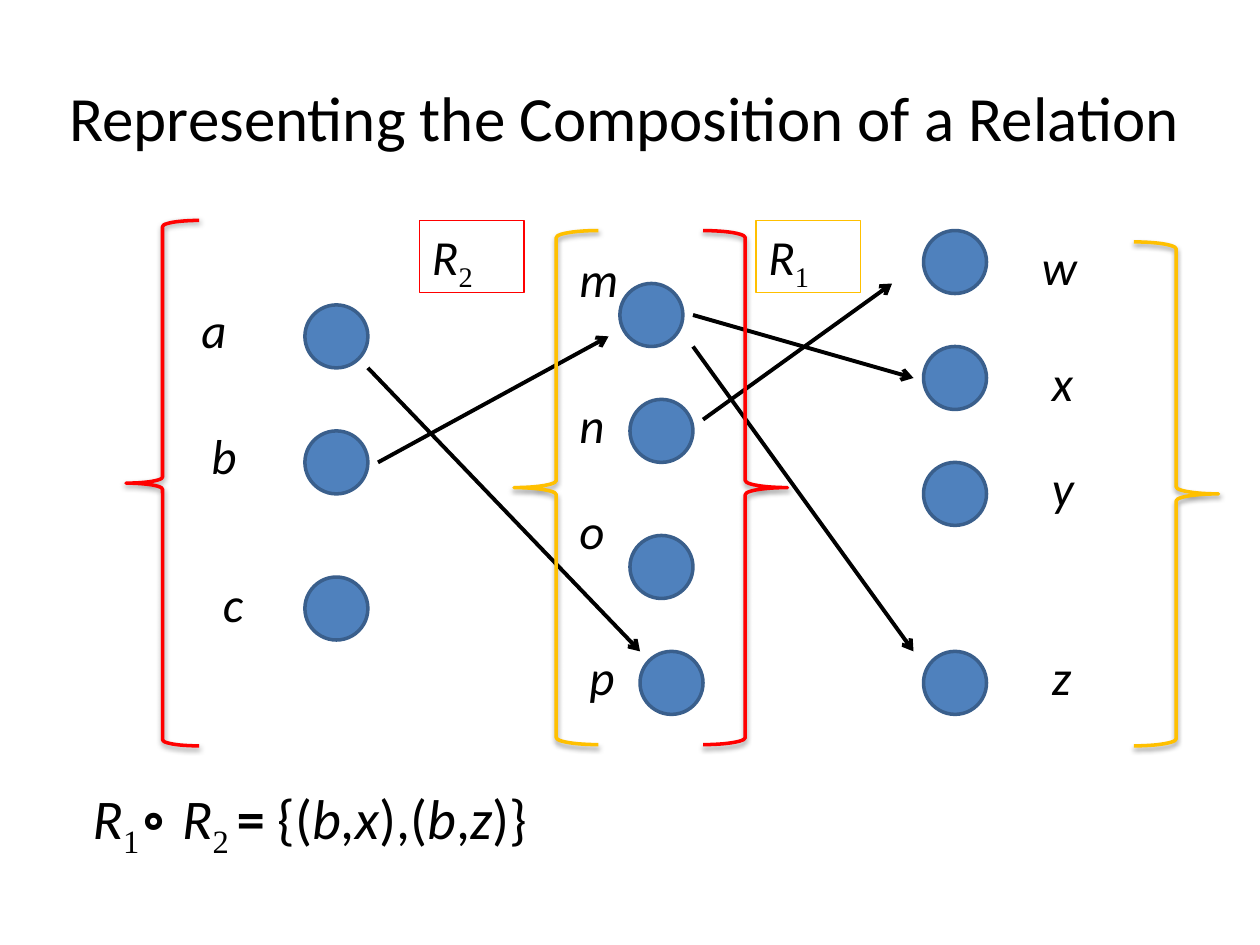
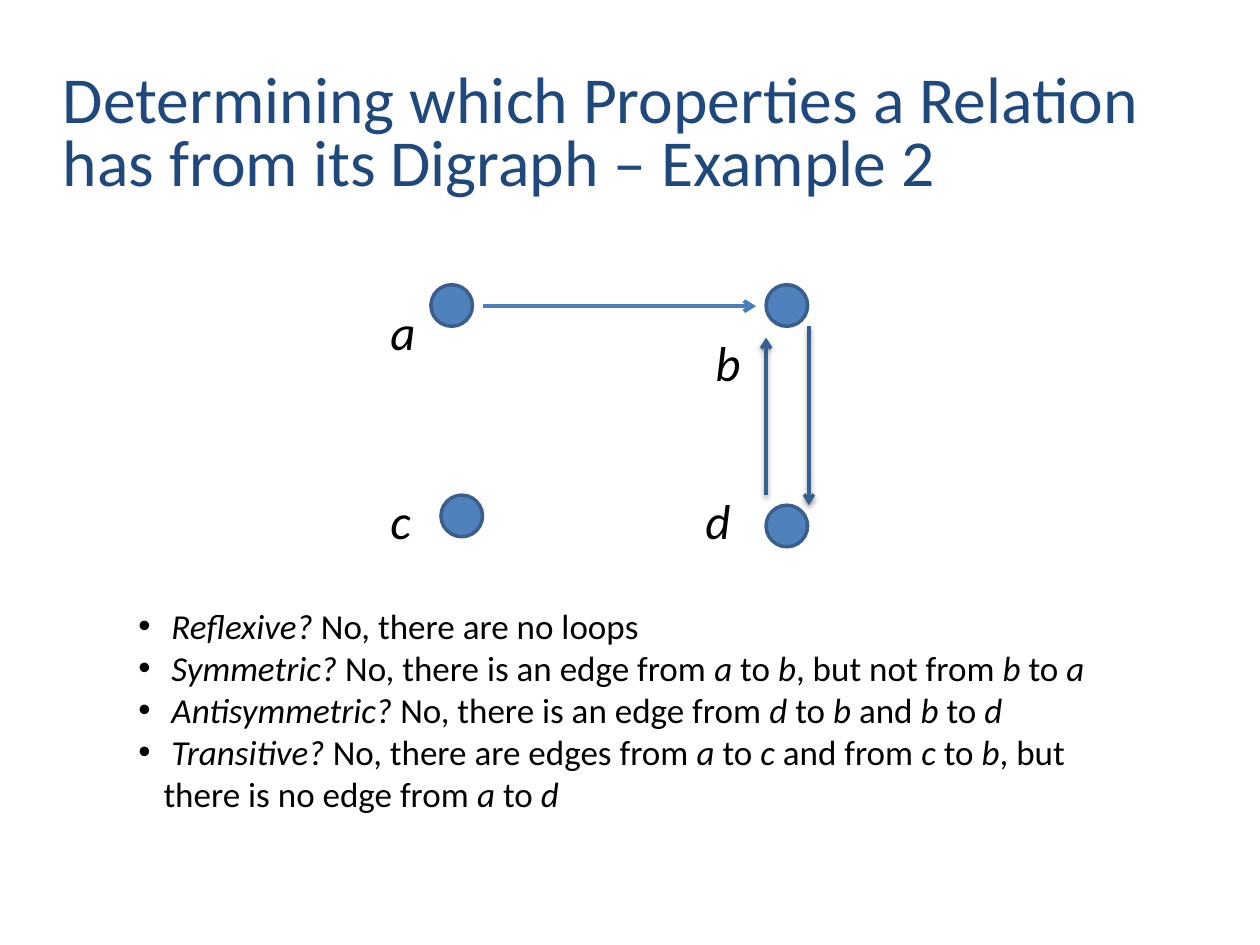
from lxml import etree
from pptx import Presentation
from pptx.dml.color import RGBColor
from pptx.enum.shapes import MSO_CONNECTOR, MSO_SHAPE
from pptx.enum.text import MSO_ANCHOR, PP_ALIGN
from pptx.oxml.ns import qn
from pptx.util import Inches, Pt

OVAL, RECT = MSO_SHAPE.OVAL, MSO_SHAPE.RECTANGLE
OPEN, CLOSE = MSO_SHAPE.LEFT_BRACE, MSO_SHAPE.RIGHT_BRACE
STRAIGHT = MSO_CONNECTOR.STRAIGHT
TOP, MIDDLE, BOTTOM = MSO_ANCHOR.TOP, MSO_ANCHOR.MIDDLE, MSO_ANCHOR.BOTTOM
LEFT, CENTER = PP_ALIGN.LEFT, PP_ALIGN.CENTER

BLACK, NAVY, RED, GOLD = "000000", "1F497D", "FF0000", "FFC000"
BLUE, RIM, EDGE, DARK = "4F81BD", "3A5F8C", "4B7EBC", "376092"

# Run styles
PLAIN = {"name": "Calibri", "italic": False, "bold": False}
ITALIC = {**PLAIN, "italic": True}
BOLD = {**PLAIN, "bold": True}
SUB = {**PLAIN, "name": "Times New Roman"}
RING = {**SUB, "bold": True}


def rgb(code):
    return RGBColor.from_string(code)


def add(parent, tag, **attrs):
    node = etree.SubElement(parent, qn(tag))
    for key, val in attrs.items():
        node.set(key, str(val))
    return node


# Shared parts
def finish(part, color, width, shade=False):
    """Set the line, then either a soft shadow or none."""
    part.line.color.rgb = rgb(color)
    part.line.width = Pt(width)
    effect = add(part._element.spPr, "a:effectLst")
    if shade:
        cast = add(effect, "a:outerShdw", blurRad=Pt(3.1), dist=Pt(1.6),
                   dir=5400000, rotWithShape=0)
        tint = add(cast, "a:srgbClr", val=BLACK)
        add(tint, "a:alpha", val=38000)


def shape(slide, kind, box, color, width, fill=None, shade=False):
    part = slide.shapes.add_shape(kind, *map(Inches, box))
    if fill:
        part.fill.solid()
        part.fill.fore_color.rgb = rgb(fill)
    else:
        part.fill.background()
    finish(part, color, width, shade)
    return part


def arrow(slide, ends, color, width, shade=False):
    part = slide.shapes.add_connector(STRAIGHT, *map(Inches, ends))
    finish(part, color, width, shade)
    add(part._element.spPr.find(qn("a:ln")), "a:tailEnd", type="arrow")


def write(para, runs, size, color=BLACK):
    for words, style in runs:
        run = para.add_run()
        run.text = words
        for key, val in {**style, "size": Pt(size)}.items():
            setattr(run.font, key, val)
        run.font.color.rgb = rgb(color)
        if style is SUB:
            run._r.get_or_add_rPr().set("baseline", "-25000")


def frame(part, anchor=TOP):
    body = part.text_frame
    body.word_wrap = True
    body.vertical_anchor = anchor
    body.paragraphs[0].alignment = LEFT
    return body


def text(slide, box, runs, size, color=BLACK, anchor=TOP):
    body = frame(slide.shapes.add_textbox(*map(Inches, box)), anchor)
    write(body.paragraphs[0], runs, size, color)
    return body


def nodes(slide, x, y, size, spots):
    """Draw each circle and its letter: name, circle x, y, letter x, y."""
    for name, cx, cy, lx, ly in spots:
        shape(slide, OVAL, (x + cx, y + cy, size, size), RIM, 2, BLUE)
        text(slide, (x + lx, y + ly, 0.42, 0.57), [(name, ITALIC)], 28)


def shift(x, y, ends):
    return [val + off for val, off in zip(ends, (x, y, x, y))]


# Slide 1: two relations between three sets
def relation(slide, x, y):
    for name, color, left in (("2", RED, 2.33), ("1", GOLD, 5)):
        tag = shape(slide, RECT, (x + left, y, 0.83, 0.57), color, 0.75)
        write(frame(tag).paragraphs[0], [("R", ITALIC), (name, SUB)], 28)

    for ends in ((2, 1.92, 3.83, 0.92), (1.92, 1.17, 4.08, 3.42),
                 (4.58, 1.58, 6.08, 0.5), (4.5, 0.75, 6.25, 1.25),
                 (4.5, 1, 6.25, 3.42)):
        arrow(slide, shift(x, y, ends), BLACK, 2.25)

    for kind, color, left, top, wide, high in (
            (CLOSE, RED, 4.58, 0.08, 0.67, 4.08),
            (OPEN, RED, 0, 0, 0.58, 4.17),
            (CLOSE, GOLD, 8, 0.17, 0.67, 4),
            (OPEN, GOLD, 3.08, 0.08, 0.67, 4.08)):
        shape(slide, kind, (x + left, y + top, wide, high), color, 2,
              shade=True)

    nodes(slide, x, y, 0.5, (
        ("a", 1.42, 0.67, 0.5, 0.58), ("b", 1.42, 1.67, 0.58, 1.58),
        ("c", 1.42, 2.83, 0.67, 2.75),
        ("m", 3.92, 0.5, 3.5, 0.17), ("n", 4, 1.42, 3.5, 1.33),
        ("o", 4, 2.5, 3.5, 2.17), ("p", 4.08, 3.42, 3.58, 3.33),
        ("w", 6.33, 0.08, 7.17, 0.08), ("x", 6.33, 1, 7.25, 1),
        ("y", 6.33, 1.92, 7.25, 1.83), ("z", 6.33, 3.42, 7.25, 3.33)))


def result(slide, box):
    body = text(slide, box, [(" ", BOLD)], 18)
    write(body.paragraphs[0], [
        ("R", ITALIC), ("1", SUB), ("∘ ", RING), ("R", ITALIC), ("2 ", SUB),
        ("= ", BOLD), ("{(", PLAIN), ("b", ITALIC), (",", PLAIN),
        ("x", ITALIC), ("),(", PLAIN), ("b", ITALIC), (",", PLAIN),
        ("z", ITALIC), (")}", PLAIN)], 32)


def compose(slide):
    body = text(slide, (0.08, 0.42, 9.75, 1),
                [("Representing the Composition of a Relation", PLAIN)],
                36, anchor=MIDDLE)
    body.paragraphs[0].alignment = CENTER
    relation(slide, 1, 1.75)
    result(slide, (0.58, 6.17, 5.17, 0.64))


# Slide 2: a directed graph and its properties
def digraph(slide, x, y):
    nodes(slide, x, y, 0.33, (
        ("a", 0.42, 0, 0, 0.08), ("b", 3.08, 0, 2.58, 0.33),
        ("c", 0.5, 1.67, 0, 1.58), ("d", 3.08, 1.75, 2.5, 1.58)))
    arrow(slide, shift(x, y, (0.83, 0.17, 3, 0.17)), EDGE, 2.25)
    for ends in ((3.08, 1.67, 3.08, 0.42), (3.42, 0.33, 3.42, 1.75)):
        arrow(slide, shift(x, y, ends), DARK, 2, shade=True)


def answers(slide, box):
    """List the properties; words between asterisks are italic."""
    body = frame(slide.shapes.add_textbox(*map(Inches, box)))
    for num, line in enumerate((
            " *Reflexive?* No, there are no loops",
            " *Symmetric?* No, there is an edge from *a* to *b*, "
            "but not from *b* to *a*",
            " *Antisymmetric?* No, there is an edge from *d* to *b* "
            "and *b* to *d*",
            " *Transitive?* No, there are edges from *a* to *c* and from "
            "*c* to *b*, but there is no edge from *a* to *d*")):
        para = body.add_paragraph() if num else body.paragraphs[0]
        props = para._p.get_or_add_pPr()
        props.set("marL", str(Inches(0.2)))
        props.set("indent", str(-Inches(0.2)))
        add(props, "a:buFont", typeface="Arial")
        add(props, "a:buChar", char="•")
        runs = [(words, ITALIC if odd % 2 else PLAIN)
                for odd, words in enumerate(line.split("*")) if words]
        write(para, runs, 20)


def example(slide):
    body = text(slide, (0.5, 0.33, 9, 1.25),
                [("Determining which Properties a Relation has from its "
                  "Digraph – Example 2", PLAIN)], 37.5, NAVY, BOTTOM)
    body.margin_left = body.margin_right = body.margin_bottom = 0
    body.paragraphs[0].line_spacing = 0.8
    digraph(slide, 3, 2.26)
    answers(slide, (1, 4.75, 8, 1.78))


def main():
    deck = Presentation()
    deck.slide_width, deck.slide_height = Inches(10), Inches(7.5)
    for build in (compose, example):
        build(deck.slides.add_slide(deck.slide_layouts[6]))
    deck.save("out.pptx")


if __name__ == "__main__":
    main()
